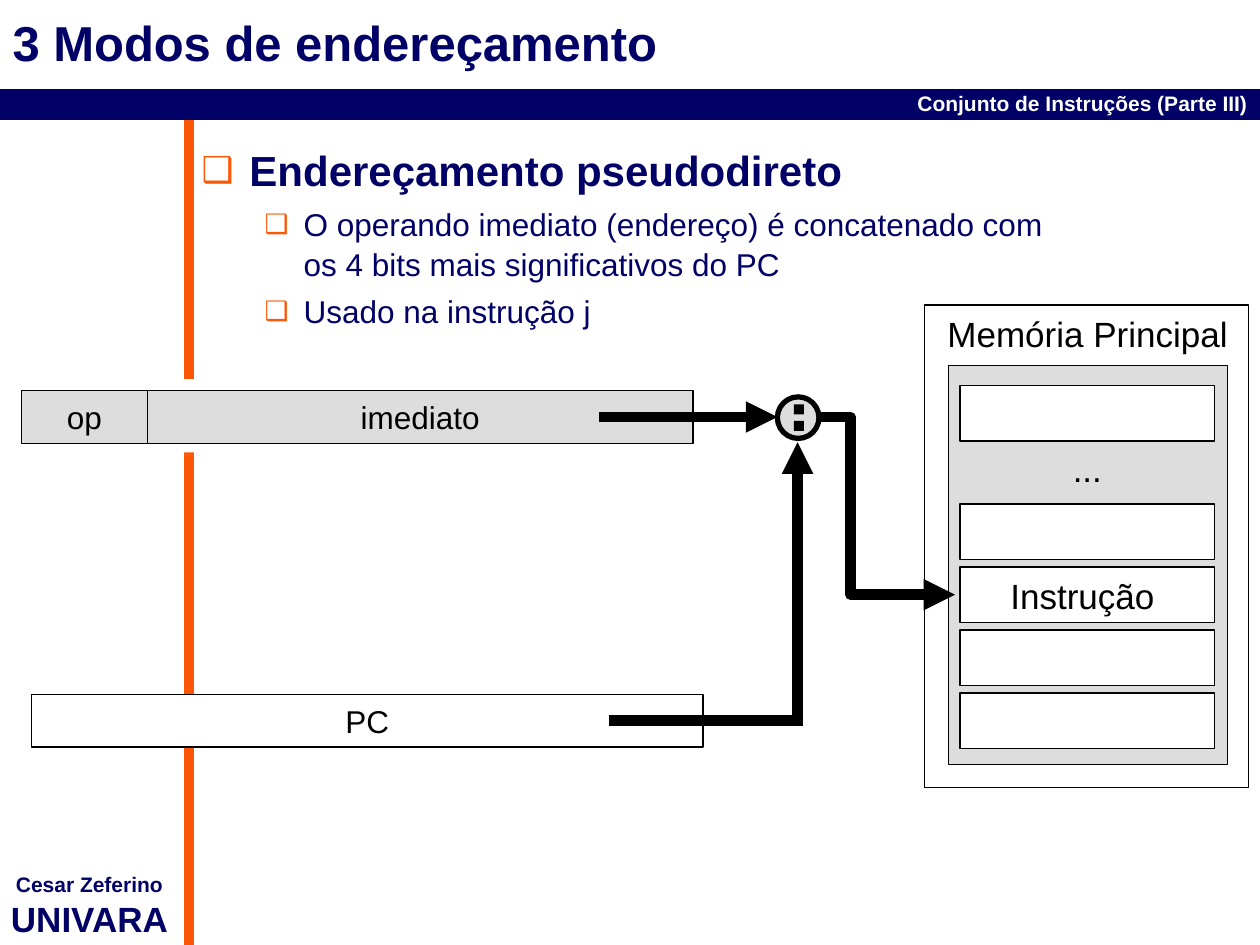
from lxml import etree
from pptx import Presentation
from pptx.dml.color import RGBColor
from pptx.enum.shapes import MSO_CONNECTOR, MSO_SHAPE
from pptx.enum.text import MSO_ANCHOR, MSO_AUTO_SIZE, PP_ALIGN
from pptx.oxml.ns import qn
from pptx.util import Inches, Pt

RECTANGLE, OVAL = MSO_SHAPE.RECTANGLE, MSO_SHAPE.OVAL
STRAIGHT = MSO_CONNECTOR.STRAIGHT
LEFT, CENTER, RIGHT = PP_ALIGN.LEFT, PP_ALIGN.CENTER, PP_ALIGN.RIGHT
TOP, MIDDLE = MSO_ANCHOR.TOP, MSO_ANCHOR.MIDDLE
FIXED = MSO_AUTO_SIZE.NONE
NAVY, ORANGE, GRAY, WHITE, BLACK = "000066", "FB5705", "DDDDDD", "FFFFFF", "000000"


def color(value):
    return RGBColor.from_string(value)


def add_run(paragraph, text, size, ink, bold=False):
    run = paragraph.add_run()
    run.text = text
    font = run.font
    font.name, font.size, font.bold = "Arial", Pt(size), bold
    font.color.rgb = color(ink)


def add_label(slide, box, text, size, ink=BLACK, bold=False, align=LEFT, wrap=True):
    label = slide.shapes.add_textbox(*map(Inches, box))
    frame = label.text_frame
    frame.word_wrap = wrap
    paragraph = frame.paragraphs[0]
    paragraph.alignment = align
    add_run(paragraph, text, size, ink, bold)
    return frame


def add_box(slide, box, fill, width=0.75, text=None, kind=RECTANGLE):
    shape = slide.shapes.add_shape(kind, *map(Inches, box))
    shape.shadow.inherit = False
    shape.fill.solid()
    shape.fill.fore_color.rgb = color(fill)
    if width:
        shape.line.color.rgb = color(BLACK)
        shape.line.width = Pt(width)
    else:
        shape.line.fill.background()
    if text:
        frame = shape.text_frame
        frame.word_wrap = False
        frame.vertical_anchor = MIDDLE
        frame.paragraphs[0].alignment = CENTER
        add_run(frame.paragraphs[0], text, 18, BLACK)


def add_arrowhead(shape):
    etree.SubElement(shape.line._get_or_add_ln(), qn("a:tailEnd"), type="triangle")


def add_line(slide, start, end, ink=BLACK, width=6, arrow=False):
    line = slide.shapes.add_connector(STRAIGHT, *map(Inches, (*start, *end)))
    line.line.color.rgb = color(ink)
    line.line.width = Pt(width)
    if arrow:
        add_arrowhead(line)
    etree.SubElement(line._element.spPr, qn("a:effectLst"))


def add_elbow_arrow(slide, points):
    corners = [(Inches(x), Inches(y)) for x, y in points]
    builder = slide.shapes.build_freeform(*corners[0])
    builder.add_line_segments(corners[1:], close=False)
    elbow = builder.convert_to_shape()
    elbow.shadow.inherit = False
    elbow.fill.background()
    elbow.line.color.rgb = color(BLACK)
    elbow.line.width = Pt(6)
    add_arrowhead(elbow)


def place(placeholder, box, anchor):
    placeholder.left, placeholder.top, placeholder.width, placeholder.height = map(Inches, box)
    frame = placeholder.text_frame
    frame.auto_size = FIXED
    frame.word_wrap = True
    frame.vertical_anchor = anchor
    return frame


def format_bullet(paragraph, margin, hanging):
    properties = paragraph._p.get_or_add_pPr()
    properties.set("marL", str(Inches(margin)))
    properties.set("indent", str(-Inches(hanging)))
    bullet_color = etree.SubElement(properties, qn("a:buClr"))
    etree.SubElement(bullet_color, qn("a:srgbClr"), val=ORANGE)
    etree.SubElement(properties, qn("a:buSzPct"), val="85000")
    etree.SubElement(properties, qn("a:buChar"), char="❑")


def add_frame(slide, width, height):
    add_line(slide, (1.5, 0.92), (1.5, height), ORANGE)
    add_line(slide, (0, 0.83), (width, 0.83), NAVY, 18)
    add_label(slide, (0, 0.67, width, 0.25), "Conjunto de Instruções (Parte III)",
              12, WHITE, True, RIGHT)
    author = add_label(slide, (0, 6.87, 1.42, 0.64), "Cesar Zeferino", 12, NAVY, True, CENTER)
    author.margin_left = author.margin_right = 0
    school = author.add_paragraph()
    school.alignment = CENTER
    add_run(school, "UNIVARA", 20, NAVY, True)


def add_title(slide, box):
    paragraph = place(slide.shapes.title, box, MIDDLE).paragraphs[0]
    paragraph.alignment = LEFT
    add_run(paragraph, "3 Modos de endereçamento", 28, NAVY, True)


def add_topics(slide, box):
    frame = place(slide.placeholders[1], box, TOP)
    topics = [
        (0, ["Endereçamento pseudodireto"]),
        (1, ["O operando imediato (endereço) é concatenado com",
             "os 4 bits mais significativos do PC"]),
        (1, ["Usado na instrução j"]),
    ]
    styles = [(24, True, 24, 0.38, 0.38), (18, False, 4.5, 0.81, 0.31)]
    for index, (level, lines) in enumerate(topics):
        size, bold, before, margin, hanging = styles[level]
        paragraph = frame.add_paragraph() if index else frame.paragraphs[0]
        paragraph.level = level
        paragraph.line_spacing = 1.05
        paragraph.space_before = Pt(before)
        format_bullet(paragraph, margin, hanging)
        for number, line in enumerate(lines):
            if number:
                paragraph.add_line_break()
            add_run(paragraph, line, size, NAVY, bold)


def add_instruction(slide, left, top):
    height, op_width = 0.42, 1
    add_box(slide, (1, top - 0.09, 0.92, 0.58), WHITE, 0)
    add_box(slide, (left + op_width, top, 4.33, height), GRAY, text="imediato")
    add_box(slide, (left, top, op_width, height), GRAY, text="op")


def add_memory(slide, left, top):
    add_box(slide, (left, top, 2.57, 3.83), WHITE)
    add_box(slide, (left + 0.19, top + 0.48, 2.21, 3.17), GRAY)
    add_label(slide, (left + 0.08, top + 0.01, 2.58, 0.44), "Memória Principal", 20)
    cell_left, cell_width, cell_height = left + 0.28, 2.02, 0.44
    first_cell, lower_cells, pitch = top + 0.64, top + 1.58, 0.5
    for cell_top in [first_cell] + [lower_cells + pitch * row for row in range(4)]:
        add_box(slide, (cell_left, cell_top, cell_width, cell_height), WHITE)
    add_label(slide, (cell_left, first_cell + cell_height, cell_width, cell_height),
              "...", 20, align=CENTER)
    add_label(slide, (cell_left + 0.3, lower_cells + pitch + 0.01, 1.42, cell_height),
              "Instrução", 20, wrap=False)


def add_concatenation(slide, left, top):
    diameter, dot = 0.33, 0.08
    add_box(slide, (left, top, diameter, diameter), GRAY, 3, kind=OVAL)
    for offset in (0.06, 0.19):
        add_box(slide, (left + 0.13, top + offset, dot, dot), BLACK, 0)


def add_paths(slide, left, top):
    center, middle, pc_level = left + 0.16, top + 0.16, 5.72
    add_line(slide, (center, pc_level + 0.04), (center, top + 0.36), arrow=True)
    add_line(slide, (4.75, middle), (left, middle), arrow=True)
    add_line(slide, (4.83, pc_level), (center, pc_level))
    add_elbow_arrow(slide, [(left + 0.33, middle), (left + 0.58, middle),
                            (left + 0.58, 4.72), (left + 1.41, 4.72)])


def main():
    width, height = 10, 7.5
    deck = Presentation()
    deck.slide_width, deck.slide_height = Inches(width), Inches(height)
    slide = deck.slides.add_slide(deck.slide_layouts[1])
    add_frame(slide, width, height)
    add_title(slide, (0, 0, width, 0.67))
    add_topics(slide, (1.5, 1.08, 8.5, 6.42))
    add_instruction(slide, 0.17, 3.1)
    add_box(slide, (0.25, 5.51, 5.33, 0.42), WHITE, text="PC")
    add_memory(slide, 7.34, 2.42)
    add_concatenation(slide, 6.17, 3.15)
    add_paths(slide, 6.17, 3.15)
    deck.save("out.pptx")


if __name__ == "__main__":
    main()
